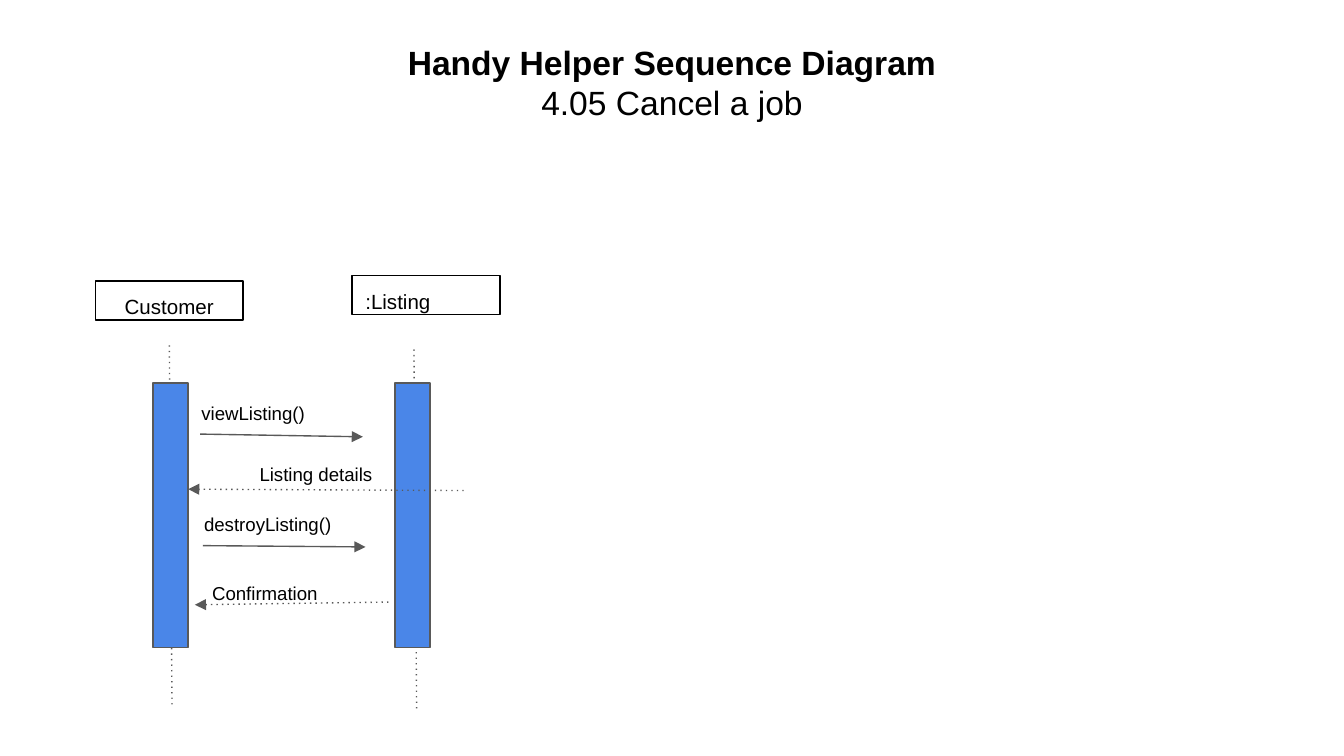
from dataclasses import dataclass

from lxml.etree import SubElement
from pptx import Presentation
from pptx.dml.color import RGBColor as Rgb
from pptx.enum.shapes import MSO_CONNECTOR as Link, MSO_SHAPE as Kind
from pptx.enum.text import MSO_ANCHOR as Anchor, MSO_AUTO_SIZE as Fit, PP_ALIGN as Align
from pptx.oxml.ns import qn
from pptx.util import Inches, Pt

HUES = {"ink": "000000", "line": "595959", "bar": "4A86E8"}
WIDTH = Inches(10)
INSET = Inches(0.1)
FRAME = {
    "word_wrap": True,
    "auto_size": Fit.NONE,
    "margin_left": INSET,
    "margin_top": INSET,
    "margin_right": INSET,
    "margin_bottom": INSET,
}


@dataclass
class Actor:
    """A named head with its lifeline and bar."""
    name: str
    left: float
    top: float
    align: Align
    bar: float
    life: tuple[float, float, float, float]


@dataclass
class Message:
    """A label and its arrow."""
    text: str
    box: tuple[float, float, float, float]
    line: tuple[float, float, float, float]
    reply: bool = False
    align: Align = Align.LEFT


ACTORS = [
    Actor(":Listing", 2.62, 2.05, Align.LEFT, 2.94, (3.08, 2.6, 3.1, 5.28)),
    Actor("Customer", 0.71, 2.09, Align.CENTER, 1.14, (1.26, 2.57, 1.28, 5.25)),
]
CALLS = [
    Message("viewListing()", (1.4, 2.96, 1.38, 0.22), (1.49, 3.23, 2.7, 3.25)),
    Message("Listing details", (1.59, 3.42, 1.52, 0.22), (3.45, 3.65, 1.4, 3.64), True, Align.CENTER),
    Message("destroyListing()", (1.42, 3.79, 1.38, 0.22), (1.51, 4.06, 2.72, 4.07)),
    Message("Confirmation", (1.48, 4.3, 1.38, 0.22), (2.89, 4.48, 1.45, 4.5), True),
]


def tint(name: str) -> Rgb:
    """Return a named colour."""
    return Rgb.from_string(HUES[name])


def style(item, looks: dict) -> None:
    """Set each format value on an item."""
    for key, value in looks.items():
        setattr(item, key, value)


def write(frame, lines: list[str], size: float, align: Align, anchor: Anchor) -> None:
    """Fill a text frame with lines."""
    style(frame, FRAME | {"text": "\n".join(lines), "vertical_anchor": anchor})
    for para in frame.paragraphs:
        para.alignment = align
        style(para.font, {"name": "Arial", "size": Pt(size), "bold": False})
        para.font.color.rgb = tint("ink")


def block(shapes, box: tuple, edge: str, fill: str = ""):
    """Draw a rectangle with an edge and a fill if named."""
    shape = shapes.add_shape(Kind.RECTANGLE, *map(Inches, box))
    shape.shadow.inherit = False
    if fill:
        shape.fill.solid()
        shape.fill.fore_color.rgb = tint(fill)
    else:
        shape.fill.background()
    shape.line.color.rgb = tint(edge)
    shape.line.width = Pt(0.75)
    return shape


def stroke(shapes, ends: tuple, dots: bool, arrow: bool) -> None:
    """Draw a straight line, dotted or with an arrowhead."""
    line = shapes.add_connector(Link.STRAIGHT, *map(Inches, ends))
    line.line.color.rgb = tint("line")
    line.line.width = Pt(0.75)
    props = line._element.spPr
    pen = props.find(qn("a:ln"))
    if dots:
        SubElement(pen, qn("a:prstDash"), val="dot")
    if arrow:
        SubElement(pen, qn("a:tailEnd"), type="triangle")
    SubElement(props, qn("a:effectLst"))


def send(shapes, call: Message) -> None:
    """Draw a message with its label."""
    stroke(shapes, call.line, call.reply, True)
    label = shapes.add_textbox(*map(Inches, call.box))
    write(label.text_frame, [call.text], 10, call.align, Anchor.MIDDLE)


def main() -> None:
    """Build the slide and save it."""
    deck = Presentation()
    style(deck, {"slide_width": WIDTH, "slide_height": WIDTH * 9 // 16})
    slide = deck.slides.add_slide(deck.slide_layouts[5])
    shapes = slide.shapes
    title = shapes.title
    place = zip(("left", "top", "width", "height"), map(Inches, (0.34, 0.21, 9.32, 0.63)))
    style(title, dict(place))
    lines = ["Handy Helper Sequence Diagram", "4.05 Cancel a job"]
    write(title.text_frame, lines, 18, Align.CENTER, Anchor.TOP)
    title.text_frame.paragraphs[0].font.bold = True
    for actor in ACTORS:
        head = block(shapes, (actor.left, actor.top, 1.1, 0.29), "ink")
        write(head.text_frame, [actor.name], 11, actor.align, Anchor.TOP)
        stroke(shapes, actor.life, True, False)
        block(shapes, (actor.bar, 2.85, 0.26, 1.97), "line", "bar")
    for call in CALLS:
        send(shapes, call)
    deck.save("out.pptx")


if __name__ == "__main__":
    main()
